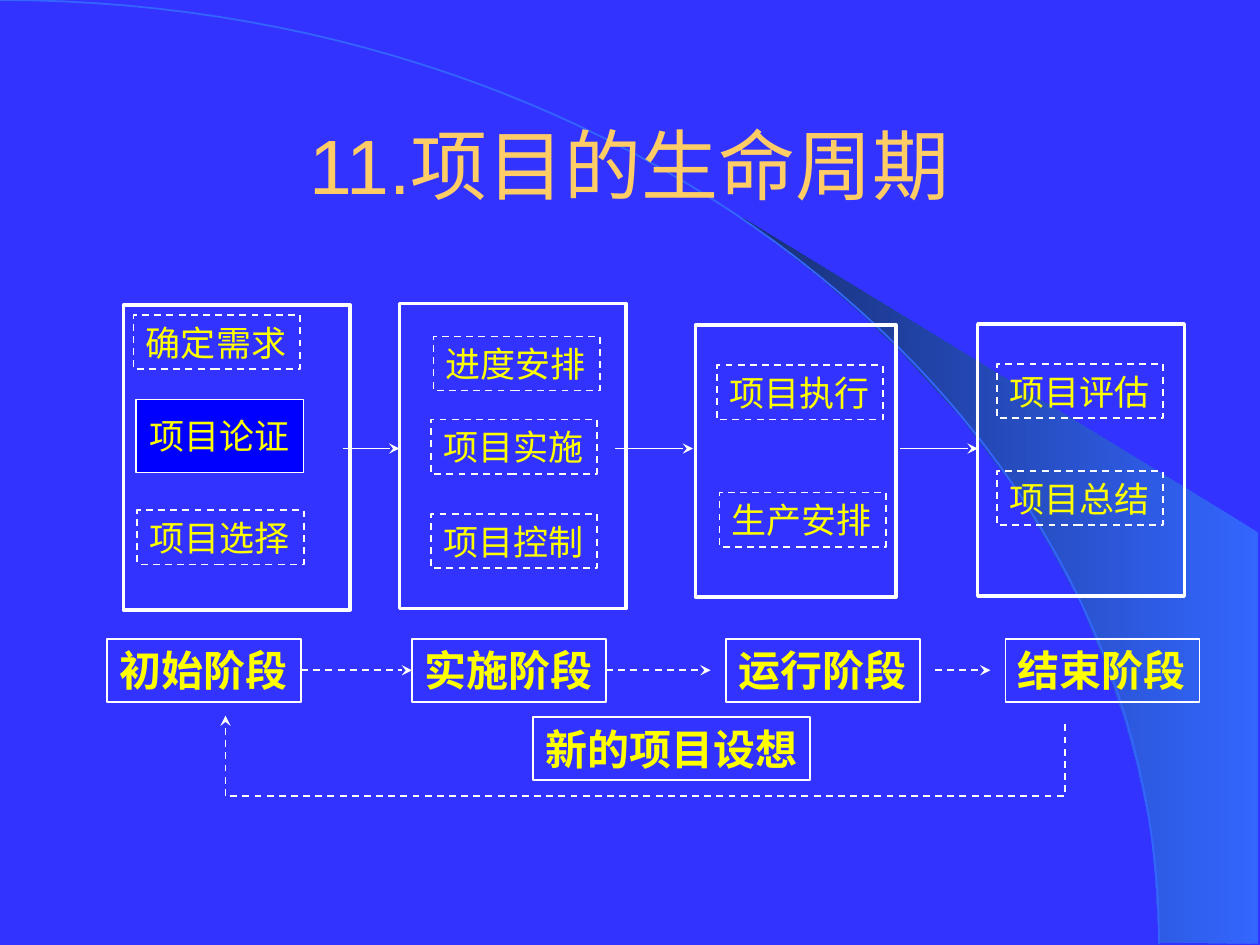
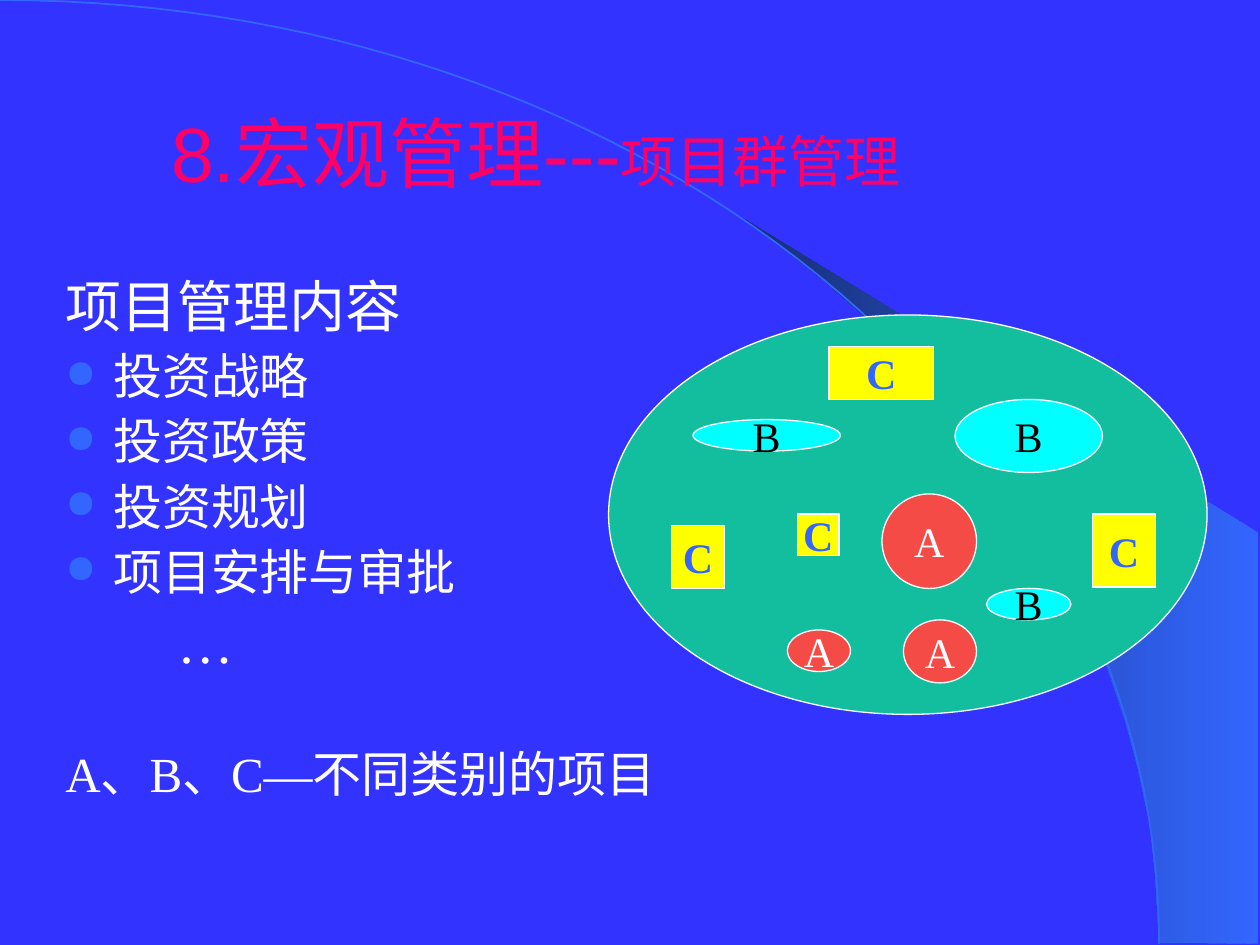
"""Build two slides on project management: the project life cycle and project portfolios."""
import lxml.etree
import pptx
import pptx.dml.color
import pptx.enum.dml
import pptx.enum.shapes
import pptx.enum.text
import pptx.oxml.ns
import pptx.util

Inches = pptx.util.Inches
Pt = pptx.util.Pt
qn = pptx.oxml.ns.qn
hex_color = pptx.dml.color.RGBColor.from_string
RECTANGLE = pptx.enum.shapes.MSO_SHAPE.RECTANGLE
OVAL = pptx.enum.shapes.MSO_SHAPE.OVAL
STRAIGHT = pptx.enum.shapes.MSO_CONNECTOR.STRAIGHT
LEFT = pptx.enum.text.PP_ALIGN.LEFT
CENTER = pptx.enum.text.PP_ALIGN.CENTER
TOP = pptx.enum.text.MSO_ANCHOR.TOP
MIDDLE = pptx.enum.text.MSO_ANCHOR.MIDDLE
GROW = pptx.enum.text.MSO_AUTO_SIZE.SHAPE_TO_FIT_TEXT

ROYAL = "3333FF"
SKY = "3366FF"
NAVY = "172F75"
WHITE = "FFFFFF"
YELLOW = "FFFF00"
SERIF = "Times New Roman"


def write(frame, text, size, color, font=SERIF, bold=False, align=CENTER,
          anchor=MIDDLE, wrap=False, grow=False, paragraph=None):
    """Append a formatted run to the frame and return its paragraph."""
    frame.word_wrap = wrap
    frame.vertical_anchor = anchor
    if grow:
        frame.auto_size = GROW
    paragraph = paragraph or frame.paragraphs[0]
    paragraph.alignment = align
    run = paragraph.add_run()
    run.text = text
    run.font.size = Pt(size)
    run.font.name = font
    run.font.bold = bold
    run.font.color.rgb = hex_color(color)
    return paragraph


def paint(shape, line=WHITE, width=1, fill=None, dashed=False, arrow=False):
    """Set the outline, fill and arrowhead of a shape or connector, without a shadow."""
    if hasattr(shape, "fill"):
        shape.shadow.inherit = False
        if fill:
            shape.fill.solid()
            shape.fill.fore_color.rgb = hex_color(fill)
        else:
            shape.fill.background()
    shape.line.color.rgb = hex_color(line)
    shape.line.width = Pt(width)
    if dashed:
        shape.line.dash_style = pptx.enum.dml.MSO_LINE.DASH
    properties = shape._element.spPr
    if arrow:
        lxml.etree.SubElement(properties.find(qn("a:ln")), qn("a:tailEnd"), type="stealth")
    if properties.find(qn("a:effectLst")) is None:
        lxml.etree.SubElement(properties, qn("a:effectLst"))
    return shape


presentation = pptx.Presentation()
presentation.slide_width = Inches(10)
presentation.slide_height = Inches(7.5)
background = presentation.slide_master.background.fill
background.solid()
background.fore_color.rgb = hex_color(ROYAL)

beam_points = [
    (9.2, 7.48), (9.99, 7.49), (9.99, 4.23), (5.89, 1.73), (6.24, 1.99), (6.53, 2.22),
    (6.85, 2.5), (7.16, 2.8), (7.62, 3.3), (8.03, 3.84), (8.32, 4.31), (8.58, 4.79),
    (8.78, 5.28), (8.93, 5.72), (9.03, 6.09), (9.13, 6.56), (9.17, 6.96),
]
arc_steps = [step / 60 for step in range(61)]
arc_points = [
    (3 * 5.08 * t * (1 - t) ** 2 + 3 * 9.2 * t ** 2 * (1 - t) + 9.2 * t ** 3,
     3 * 3.35 * t ** 2 * (1 - t) + 7.49 * t ** 3)
    for t in arc_steps
]
titles = [
    ((0.75, 0.67, 8.5, 1.25), "FFCC66", [("11.项目的生命周期", 44)]),
    ((0.92, 0.58, 6.67, 1.25), "FF0066", [("8.宏观管理---", 44), ("项目群管理", 32)]),
]
slides = []
for title_place, title_color, title_parts in titles:
    slide = presentation.slides.add_slide(presentation.slide_layouts[6])
    slides.append(slide)
    outlines = []
    for points, closed in [(beam_points, True), (arc_points, False)]:
        corners = [(Inches(x), Inches(y)) for x, y in points]
        builder = slide.shapes.build_freeform(*corners[0])
        builder.add_line_segments(corners[1:], close=closed)
        outlines.append(paint(builder.convert_to_shape(), line=SKY))
    beam = outlines[0]
    beam.line.fill.background()
    beam.fill.gradient()
    beam.fill.gradient_angle = 180
    for stop, color, position in zip(beam.fill.gradient_stops, [SKY, NAVY], [0, 1]):
        stop.color.rgb = hex_color(color)
        stop.position = position
    title = slide.shapes.add_textbox(*map(Inches, title_place))
    for text, size in title_parts:
        write(title.text_frame, text, size, title_color, font="Arial", wrap=True)

cycle_slide, portfolio_slide = slides

stage_frames = [(0.98, 2.42, 1.8, 2.42), (3.17, 2.41, 1.8, 2.42),
                (5.52, 2.58, 1.59, 2.16), (7.76, 2.57, 1.64, 2.16)]
for place in stage_frames:
    paint(cycle_slide.shapes.add_shape(RECTANGLE, *map(Inches, place)), width=2)

activities = [
    ("确定需求", 1.06, 2.5), ("项目选择", 1.09, 4.05),
    ("进度安排", 3.44, 2.67), ("项目实施", 3.42, 3.33), ("项目控制", 3.42, 4.08),
    ("项目执行", 5.69, 2.9), ("生产安排", 5.71, 3.91),
    ("项目评估", 7.91, 2.89), ("项目总结", 7.91, 3.74),
]
for text, left, top in activities:
    activity = cycle_slide.shapes.add_shape(
        RECTANGLE, Inches(left), Inches(top), Inches(1.32), Inches(0.43))
    paint(activity, dashed=True)
    write(activity.text_frame, text, 20, YELLOW, align=LEFT, anchor=TOP, grow=True)

appraisal = cycle_slide.shapes.add_shape(
    RECTANGLE, Inches(1.08), Inches(3.17), Inches(1.33), Inches(0.58))
paint(appraisal, width=0.75, fill="0000FF")
write(appraisal.text_frame, "项目论证", 20, YELLOW, font="Cabin")

phases = []
for text, left, top, width, line_width, font in [
    ("初始阶段", 0.85, 5.07, 1.54, 1, SERIF),
    ("实施阶段", 3.27, 5.07, 1.54, 1, SERIF),
    ("运行阶段", 5.76, 5.07, 1.54, 1, SERIF),
    ("结束阶段", 7.98, 5.07, 1.54, 1, SERIF),
    ("新的项目设想", 4.23, 5.69, 2.2, 0.75, "Cabin"),
]:
    phase = cycle_slide.shapes.add_shape(
        RECTANGLE, Inches(left), Inches(top), Inches(width), Inches(0.5))
    paint(phase, width=line_width)
    write(phase.text_frame, text, 24, YELLOW, font=font, bold=True,
          align=LEFT, anchor=TOP, grow=True)
    phases.append(phase)

for start, end, y, dashed, source, target in [
    (2.72, 3.17, 3.56, False, None, None),
    (4.88, 5.5, 3.56, False, None, None),
    (7.14, 7.76, 3.56, False, None, None),
    (2.39, 3.27, 5.32, True, phases[0], phases[1]),
    (4.81, 5.64, 5.32, True, phases[1], None),
    (7.42, 7.86, 5.32, True, None, None),
]:
    connector = cycle_slide.shapes.add_connector(
        STRAIGHT, Inches(start), Inches(y), Inches(end), Inches(y))
    if source:
        connector.begin_connect(source, 3)
    if target:
        connector.end_connect(target, 1)
    paint(connector, dashed=dashed, arrow=True)

feedback = cycle_slide.shapes.build_freeform(Inches(8.45), Inches(5.75))
feedback.add_line_segments(
    [(Inches(x), Inches(y)) for x, y in [(8.45, 6.32), (1.79, 6.32), (1.79, 5.68)]],
    close=False)
paint(feedback.convert_to_shape(), dashed=True, arrow=True)

contents = portfolio_slide.shapes.add_textbox(
    Inches(0.42), Inches(2.17), Inches(5.92), Inches(4.5)).text_frame
for index, (text, size, space, indent, bulleted) in enumerate([
    ("项目管理内容", 32, 0, 0, False),
    ("投资战略", 28, 7, 0.38, True),
    ("投资政策", 28, 7, 0.38, True),
    ("投资规划", 28, 7, 0.38, True),
    ("项目安排与审批", 28, 7, 0.38, True),
    ("…", 32, 8, 0.89, False),
    ("A、B、C—不同类别的项目", 28, 43, 0, False),
]):
    paragraph = contents.add_paragraph() if index else contents.paragraphs[0]
    properties = paragraph._p.get_or_add_pPr()
    properties.set("marL", str(Inches(indent)))
    properties.set("indent", str(-Inches(indent) if bulleted else 0))
    if bulleted:
        bullet_color = lxml.etree.SubElement(properties, qn("a:buClr"))
        lxml.etree.SubElement(bullet_color, qn("a:srgbClr"), val=SKY)
        lxml.etree.SubElement(properties, qn("a:buSzPct"), val="80000")
        lxml.etree.SubElement(properties, qn("a:buChar"), char="●")
    paragraph.line_spacing = 0.9
    paragraph.space_before = Pt(space)
    write(contents, text, size, WHITE, align=LEFT, anchor=TOP, wrap=True, paragraph=paragraph)

portfolio = portfolio_slide.shapes.add_shape(
    OVAL, Inches(4.83), Inches(2.5), Inches(4.75), Inches(3.17))
paint(portfolio, width=0.75, fill="12BE9D")

project_classes = [
    ("C", RECTANGLE, YELLOW, SKY, True,
     [(5.33, 4.17, 0.42, 0.5), (6.33, 4.08, 0.33, 0.33),
      (6.58, 2.75, 0.83, 0.42), (8.67, 4.08, 0.5, 0.58)]),
    ("A", OVAL, "F54B47", WHITE, False,
     [(6.25, 5, 0.5, 0.33), (7.17, 4.92, 0.58, 0.5), (7, 3.92, 0.75, 0.75)]),
    ("B", OVAL, "00FFFF", "000000", False,
     [(5.5, 3.33, 1.17, 0.25), (7.83, 4.67, 0.67, 0.25), (7.58, 3.17, 1.17, 0.58)]),
]
for letter, outline, fill, color, bold, places in project_classes:
    for place in places:
        project = portfolio_slide.shapes.add_shape(outline, *map(Inches, place))
        paint(project, width=0.75, fill=fill)
        write(project.text_frame, letter, 24, color, bold=bold)

presentation.save("out.pptx")
